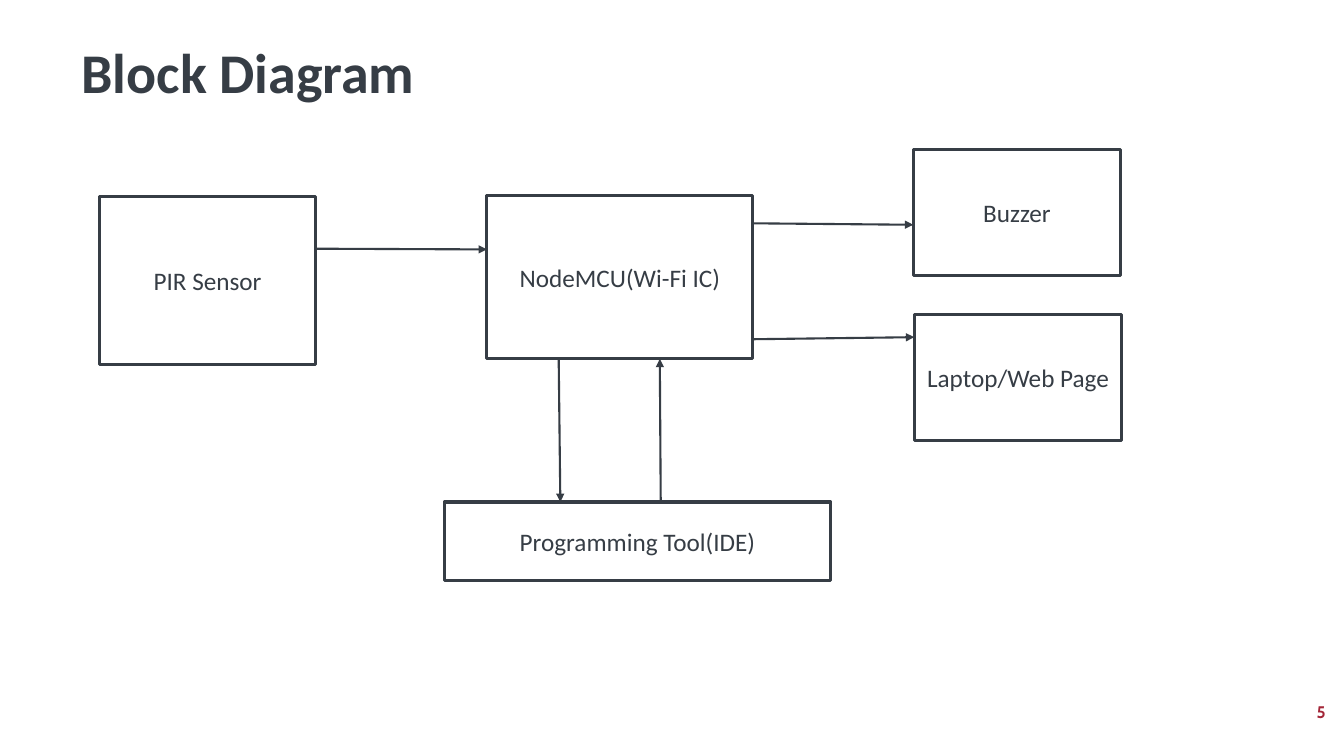
from dataclasses import dataclass
from lxml import etree
from pptx import Presentation, util as u
from pptx.dml.color import RGBColor
from pptx.enum import shapes, text
from pptx.oxml.ns import qn


@dataclass(frozen=True)
class Theme:
    ink: str = "363D45"
    accent: str = "A32537"
    paper: str = "FFFFFF"
    body_font: str = "Calibri"
    number_font: str = "Cabin"
    title_size: int = 40
    block_size: int = 18
    number_size: int = 12
    block_line: float = 2.25
    arrow_line: float = 1.5


T = Theme()
CELL = u.Inches(0.1)
COLS, ROWS = 133.33, 75

BLOCKS = {
    "PIR Sensor": (0, 4.7, 21.4, 16.7),
    "NodeMCU(Wi-Fi IC)": (38.4, 4.6, 26.4, 16.2),
    "Laptop/Web Page": (80.8, 16.4, 20.6, 12.5),
    "Programming Tool(IDE)": (34.2, 35, 38.3, 7.8),
    "Buzzer": (80.7, 0, 20.6, 12.5),
}
SENSOR, BOARD, LAPTOP, TOOL, BUZZER = BLOCKS

# Each end is a block and the point on it, as shares of its width and height.
ARROWS = [
    ((SENSOR, 1, 0.31), (BOARD, 0, 0.33)),
    ((BOARD, 1, 0.17), (BUZZER, 0, 0.6)),
    ((BOARD, 1, 0.88), (LAPTOP, 0, 0.18)),
    ((BOARD, 0.27, 1), (TOOL, 0.3, 0)),
    ((TOOL, 0.56, 0), (BOARD, 0.65, 1)),
]


def cells(*values):
    return [round(v * CELL) for v in values]


def rgb(color):
    return RGBColor.from_string(color)


def write(sp, content, size, font=T.body_font, color=T.ink, bold=False,
          align=text.PP_ALIGN.LEFT, anchor=text.MSO_ANCHOR.MIDDLE, spacing=1.0):
    tf = sp.text_frame
    tf.word_wrap = True
    tf.vertical_anchor = anchor
    p = tf.paragraphs[0]
    p.alignment = align
    p.line_spacing = spacing
    r = p.add_run()
    r.text = content
    r.font.size = u.Pt(size)
    r.font.name = font
    r.font.bold = bold
    r.font.color.rgb = rgb(color)


def add_title(s, box, content):
    write(s.shapes.add_textbox(*cells(*box)), content, T.title_size, bold=True,
          anchor=text.MSO_ANCHOR.TOP, spacing=0.9)


def add_number(s, box, content):
    write(s.shapes.add_textbox(*cells(*box)), content, T.number_size,
          font=T.number_font, color=T.accent, bold=True,
          align=text.PP_ALIGN.RIGHT)


def add_block(s, box, label):
    sp = s.shapes.add_shape(shapes.MSO_SHAPE.RECTANGLE, *cells(*box))
    sp.shadow.inherit = False
    sp.fill.solid()
    sp.fill.fore_color.rgb = rgb(T.paper)
    sp.line.color.rgb = rgb(T.ink)
    sp.line.width = u.Pt(T.block_line)
    write(sp, label, T.block_size, align=text.PP_ALIGN.CENTER)


def add_arrow(s, start, end):
    cx = s.shapes.add_connector(shapes.MSO_CONNECTOR.STRAIGHT,
                                *cells(*start, *end))
    cx.line.color.rgb = rgb(T.ink)
    cx.line.width = u.Pt(T.arrow_line)
    ln = cx.line._get_or_add_ln()
    etree.SubElement(ln, qn("a:tailEnd"), type="triangle")
    etree.SubElement(cx._element.spPr, qn("a:effectLst"))


def add_diagram(s, left, top):
    boxes = {label: (left + x, top + y, w, h)
             for label, (x, y, w, h) in BLOCKS.items()}

    def point(label, across, down):
        x, y, w, h = boxes[label]
        return x + across * w, y + down * h

    for label, box in boxes.items():
        add_block(s, box, label)
    for start, end in ARROWS:
        add_arrow(s, point(*start), point(*end))


def main():
    prs = Presentation()
    prs.slide_width, prs.slide_height = cells(COLS, ROWS)
    s = prs.slides.add_slide(prs.slide_layouts[6])
    add_title(s, (7.1, 4, 117.1, 8), "Block Diagram")
    add_diagram(s, 9.9, 14.8)
    add_number(s, (102.5, 68.6, 30, 4), "5")
    prs.save("out.pptx")


if __name__ == "__main__":
    main()
